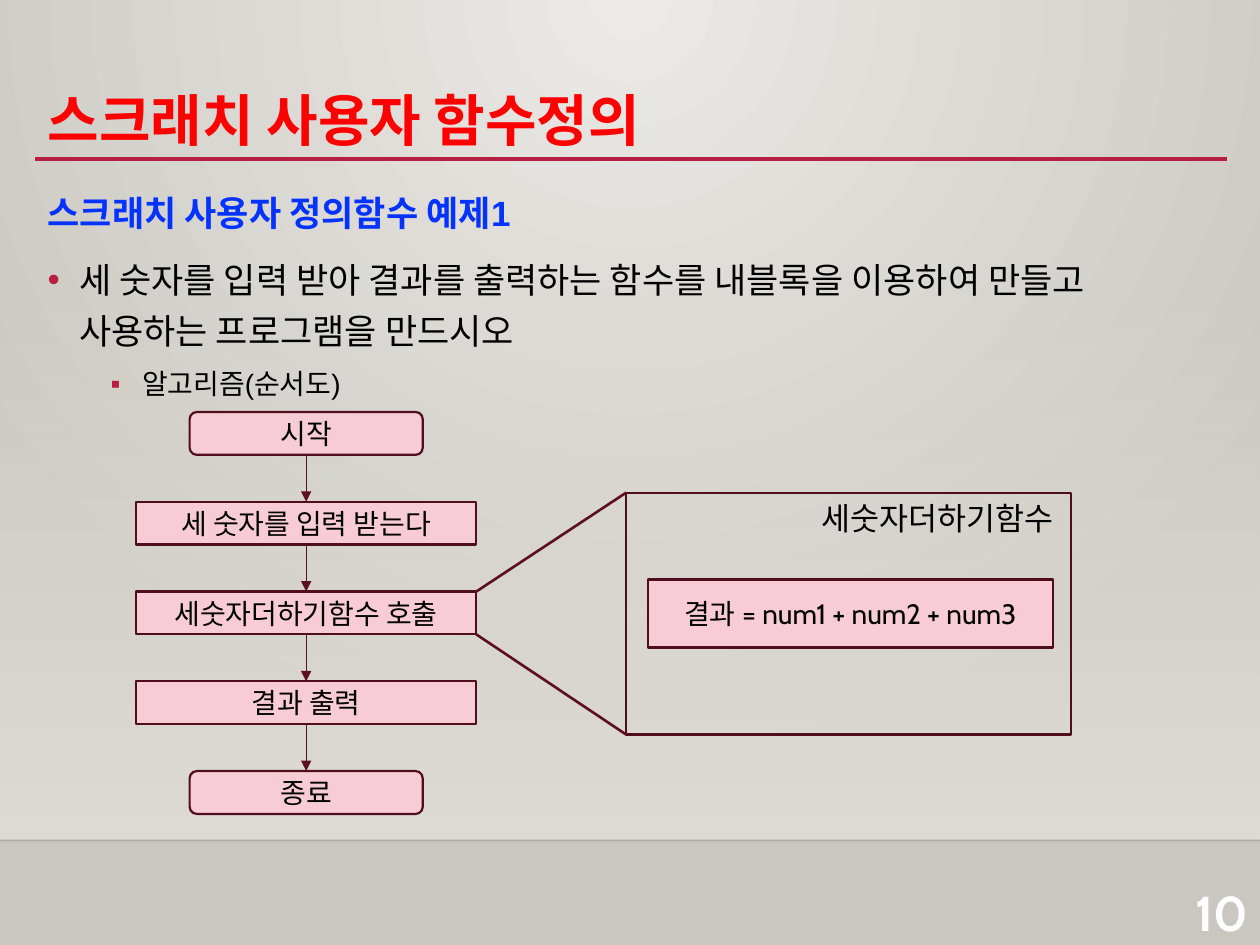
from lxml.etree import SubElement
from pptx import Presentation
from pptx.dml.color import RGBColor
from pptx.enum.shapes import MSO_CONNECTOR, MSO_SHAPE
from pptx.enum.text import MSO_ANCHOR, PP_ALIGN
from pptx.oxml import parse_xml
from pptx.oxml.ns import nsdecls, qn
from pptx.util import Inches, Pt

# Content
TITLE = "스크래치 사용자 함수정의"
PAGE_NUMBER = "10"
BODY = [
    dict(text="스크래치 사용자 정의함수 예제1", size=20, color="blue", bold=True),
    dict(text="세 숫자를 입력 받아 결과를 출력하는 함수를 내블록을 이용하여 만들고 "
              "사용하는 프로그램을 만드시오",
         size=20, bullet="•", margin=0.25, before=10),
    dict(text="알고리즘(순서도)", size=16, bullet="▪", margin=0.75, before=5, level=1),
]
STEPS = [
    ("시작", "terminal"),
    ("세 숫자를 입력 받는다", "process"),
    ("세숫자더하기함수 호출", "process"),
    ("결과 출력", "process"),
    ("종료", "terminal"),
]
CALL_STEP = 2
FUNCTION_NAME = "세숫자더하기함수"
FORMULA = "결과 = num1 + num2 + num3"

# Format
COLORS = {
    "red": "FF0000", "blue": "0432FF", "black": "000000", "white": "FFFFFF",
    "crimson": "B71E42", "pink": "F7CCD6", "outline": "500D1D", "arrow": "5C0F21",
    "glow": "ECEAE7", "edge": "CAC7C1", "haze": "DFDBD5", "floor": "000001",
}
WIDTH, HEIGHT = 10, 7.5
MARGIN, CONTENT_WIDTH = 0.28, 9.45
FLOOR_TOP = 6.67
FLOW_CENTER, FLOW_TOP, STEP_PITCH, STEP_HEIGHT = 2.43, 3.27, 0.7125, 0.34
STEP_KINDS = {
    "terminal": (MSO_SHAPE.FLOWCHART_ALTERNATE_PROCESS, 1.85),
    "process": (MSO_SHAPE.RECTANGLE, 2.7),
}
FUNCTION_BOX = (4.97, 3.91, 3.53, 1.92)

presentation = Presentation()
presentation.slide_width, presentation.slide_height = Inches(WIDTH), Inches(HEIGHT)
slide = presentation.slides.add_slide(presentation.slide_layouts[6])


def rgb(name):
    return RGBColor.from_string(COLORS[name])


def gradient(stops, direction):
    stop_xml = "".join(
        f'<a:gs pos="{position * 1000}"><a:srgbClr val="{COLORS[color]}">'
        f'<a:alpha val="{alpha * 1000}"/></a:srgbClr></a:gs>'
        for position, color, alpha in stops)
    return parse_xml(f'<a:gradFill {nsdecls("a")} rotWithShape="1">'
                     f'<a:gsLst>{stop_xml}</a:gsLst>{direction}</a:gradFill>')


def replace_solid_fill(parent, new_fill):
    parent.replace(parent.find(qn("a:solidFill")), new_fill)


def write(paragraph, text, size, font="Cabin", color="black", bold=False, align=None):
    paragraph.alignment = align
    run = paragraph.add_run()
    run.text = text
    for name, value in dict(name=font, size=Pt(size), bold=bold).items():
        setattr(run.font, name, value)
    run.font.color.rgb = rgb(color)


def add_text(box, wrap=True, anchor=MSO_ANCHOR.TOP):
    frame = slide.shapes.add_textbox(*map(Inches, box)).text_frame
    frame.word_wrap, frame.vertical_anchor = wrap, anchor
    return frame


def add_box(kind, box, text="", fill="pink"):
    shape = slide.shapes.add_shape(kind, *map(Inches, box))
    shape.shadow.inherit = False
    if fill:
        shape.fill.solid()
        shape.fill.fore_color.rgb = rgb(fill)
    else:
        shape.fill.background()
    shape.line.color.rgb, shape.line.width = rgb("outline"), Pt(1.25)
    if text:
        frame = shape.text_frame
        frame.vertical_anchor = MSO_ANCHOR.MIDDLE
        write(frame.paragraphs[0], text, 16, align=PP_ALIGN.CENTER)
    return shape


def add_line(start, end, color, width, arrow=False):
    line = slide.shapes.add_connector(
        MSO_CONNECTOR.STRAIGHT, *map(Inches, (*start, *end)))
    line.line.color.rgb, line.line.width = rgb(color), Pt(width)
    if arrow:
        SubElement(line.line._get_or_add_ln(), qn("a:tailEnd"), type="triangle")
    SubElement(line.element.spPr, qn("a:effectLst"))
    return line


# Background glow, haze and floor
slide.background.fill.solid()
replace_solid_fill(
    slide.element.find(".//" + qn("p:bgPr")),
    gradient([(0, "glow", 100), (100, "edge", 100)],
             '<a:path path="circle"><a:fillToRect l="43000" r="43000" b="100000"/></a:path>'))
haze = add_box(MSO_SHAPE.RECTANGLE, (0, 2.2, WIDTH, FLOOR_TOP - 2.2), fill="haze")
haze.line.fill.background()
replace_solid_fill(haze.element.spPr, gradient(
    [(0, "haze", 0), (100, "haze", 100)], '<a:lin ang="5400000" scaled="0"/>'))
floor = add_line((0, FLOOR_TOP), (WIDTH, FLOOR_TOP), "floor", 1)
SubElement(floor.element.find(".//" + qn("a:srgbClr")), qn("a:alpha"), val="20000")

# Page number, title and rule
number = add_text((9.13, 6.96, 0.87, 0.55), anchor=MSO_ANCHOR.MIDDLE)
write(number.paragraphs[0], PAGE_NUMBER, 28, color="white", bold=True, align=PP_ALIGN.RIGHT)
add_line((MARGIN, 1.26), (9.74, 1.26), "crimson", 2.5)
title = add_text((MARGIN, 0.11, CONTENT_WIDTH, 1.15), anchor=MSO_ANCHOR.BOTTOM)
title.paragraphs[0].line_spacing = 1.5
write(title.paragraphs[0], TITLE, 32, color="red", bold=True)

# Body text
body = add_text((MARGIN, 1.4, CONTENT_WIDTH, 5.22))
for index, item in enumerate(BODY):
    paragraph = body.add_paragraph() if index else body.paragraphs[0]
    paragraph.level = item.get("level", 0)
    paragraph.line_spacing, paragraph.space_before = 1.2, Pt(item.get("before", 0))
    if "bullet" in item:
        properties = paragraph._p.get_or_add_pPr()
        properties.set("marL", str(Inches(item["margin"])))
        properties.set("indent", str(Inches(-0.25)))
        bullet_color = SubElement(properties, qn("a:buClr"))
        SubElement(bullet_color, qn("a:srgbClr"), val=COLORS["crimson"])
        SubElement(properties, qn("a:buFont"), typeface="Arial")
        SubElement(properties, qn("a:buChar"), char=item["bullet"])
    write(paragraph, item["text"], item["size"], "Arial",
          item.get("color", "black"), item.get("bold", False))

# Flowchart steps and arrows
for index, (text, kind) in enumerate(STEPS):
    preset, width = STEP_KINDS[kind]
    top = FLOW_TOP + index * STEP_PITCH
    add_box(preset, (FLOW_CENTER - width / 2, top, width, STEP_HEIGHT), text)
    if index:
        add_line((FLOW_CENTER, top - STEP_PITCH + STEP_HEIGHT), (FLOW_CENTER, top),
                 "arrow", 0.75, arrow=True)

# Function detail, joined to the step that calls it
left, top, width, height = FUNCTION_BOX
add_box(MSO_SHAPE.RECTANGLE, FUNCTION_BOX, fill=None)
add_box(MSO_SHAPE.RECTANGLE, (5.14, 4.6, 3.22, 0.54), FORMULA)
label = add_text((6.33, top, 2.22, 0.4), wrap=False)
write(label.paragraphs[0], FUNCTION_NAME, 18, align=PP_ALIGN.CENTER)
call_right = FLOW_CENTER + STEP_KINDS["process"][1] / 2
call_top = FLOW_TOP + CALL_STEP * STEP_PITCH
add_line((left, top), (call_right, call_top), "arrow", 1.5)
add_line((left, top + height), (call_right, call_top + STEP_HEIGHT), "arrow", 1.5)

presentation.save("out.pptx")
